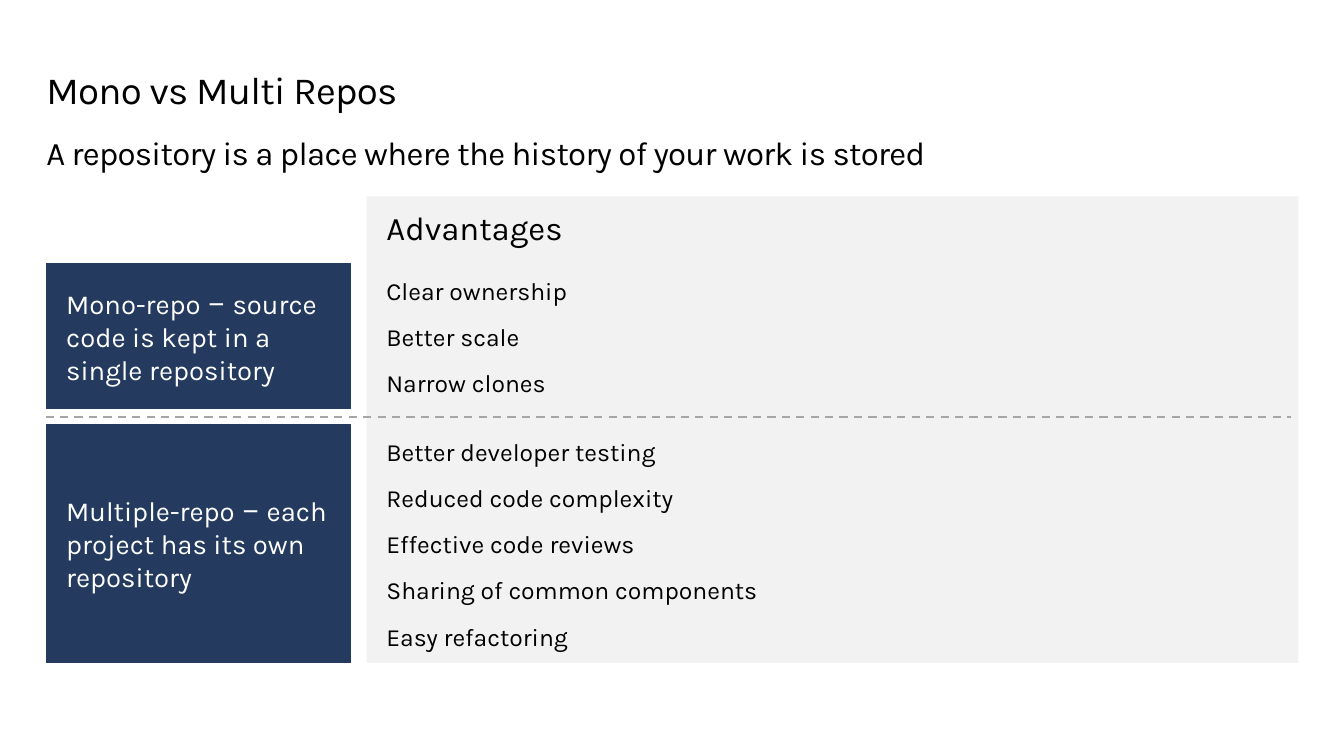
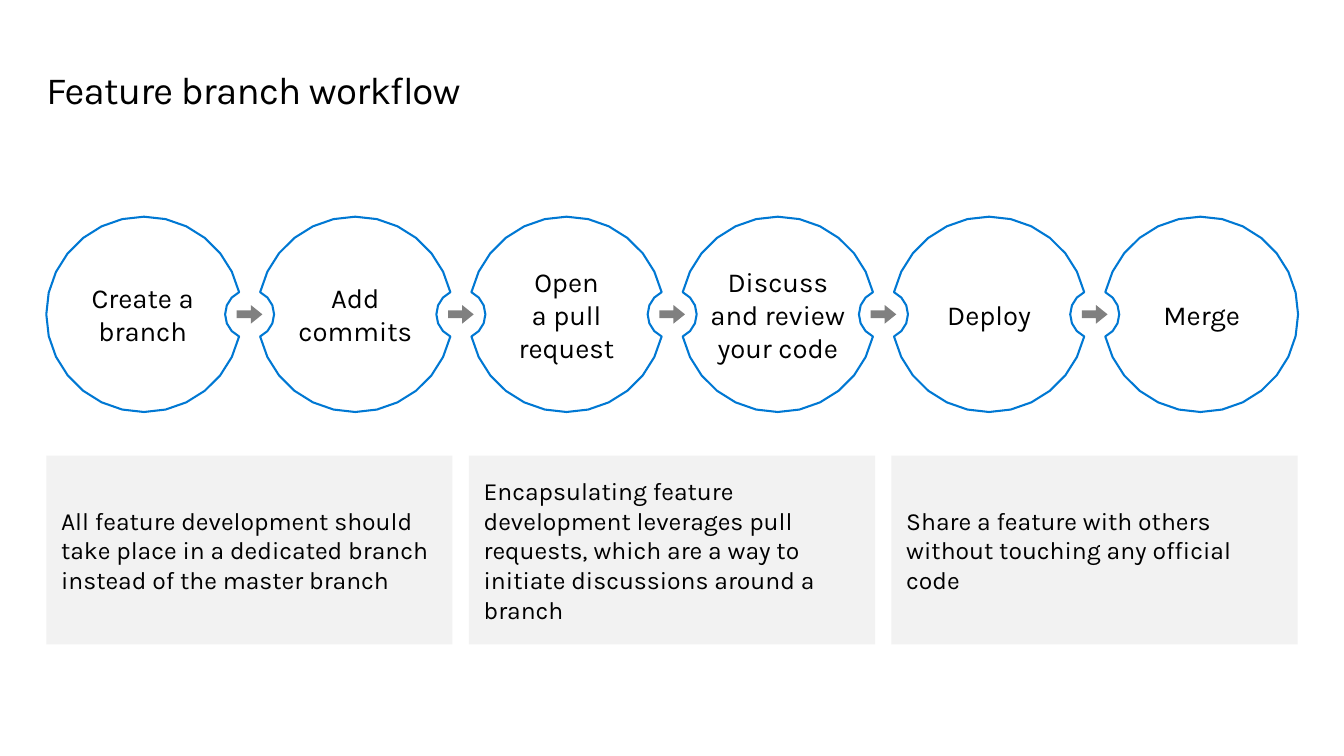
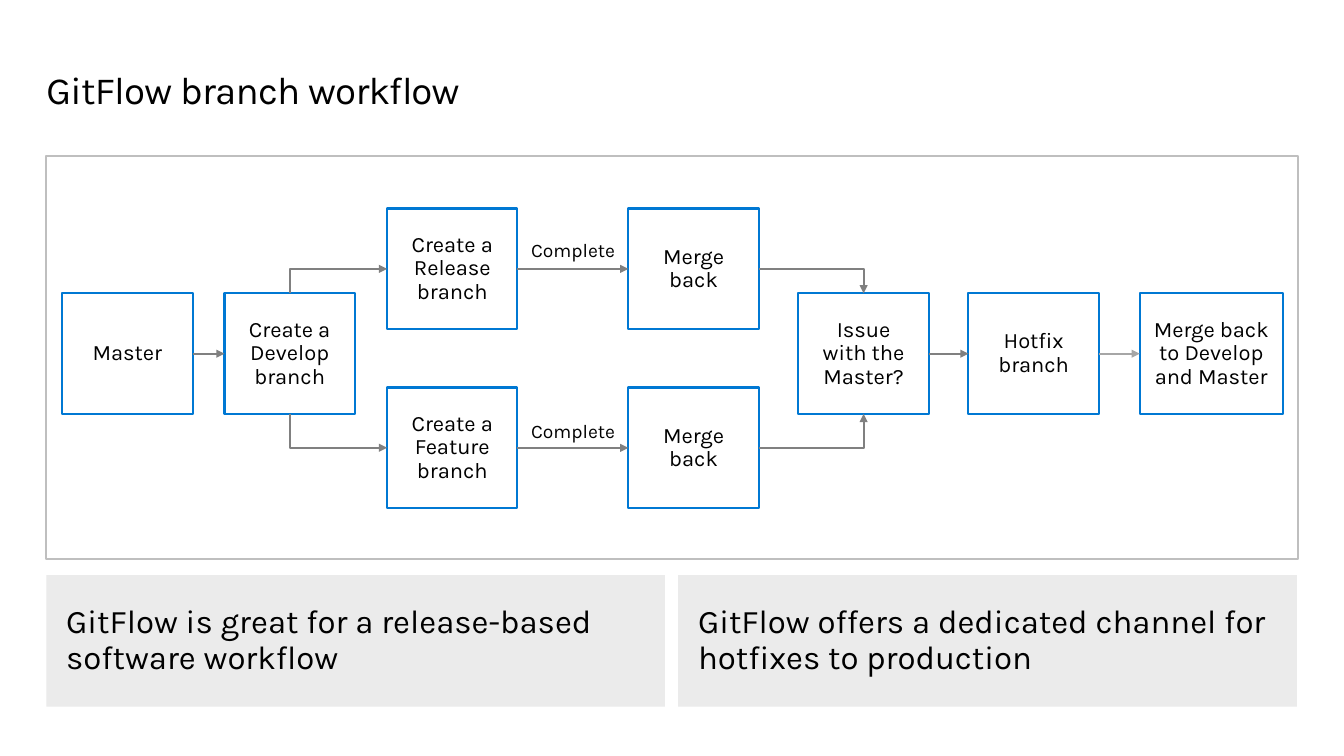
from dataclasses import dataclass
from enum import IntEnum
from math import acos, cos, radians, sin

from lxml.etree import SubElement
from pptx import Presentation
from pptx.dml.color import RGBColor
from pptx.enum.dml import MSO_LINE
from pptx.enum.shapes import MSO_CONNECTOR, MSO_SHAPE
from pptx.enum.text import MSO_ANCHOR, MSO_AUTO_SIZE, PP_ALIGN
from pptx.oxml.ns import qn
from pptx.shapes.autoshape import Shape
from pptx.shapes.connector import Connector
from pptx.slide import Slide
from pptx.text.text import TextFrame
from pptx.util import Cm, Pt

FONT, DASH_FONT = "Karla", "Roboto"
BLACK, WHITE = "000000", "FFFFFF"
NAVY, BLUE = "243A5E", "0078D3"
PANEL, TAKEAWAY = "F2F2F2", "EBEBEB"
FRAME, ARROW, PALE_ARROW = "BFBFBF", "808080", "A6A6A6"

LEFT = 1.19
CONTENT_WIDTH = 32.18
TITLE_ONLY = 5


@dataclass(frozen=True)
class Box:
    """Left, top, width and height in centimetres."""
    left: float
    top: float
    width: float
    height: float

    def lengths(self) -> tuple[Cm, Cm, Cm, Cm]:
        return Cm(self.left), Cm(self.top), Cm(self.width), Cm(self.height)


@dataclass(frozen=True)
class TextStyle:
    """Point sizes for text, centimetres for margins."""
    size: int
    colour: str = BLACK
    align: PP_ALIGN = PP_ALIGN.LEFT
    anchor: MSO_ANCHOR = MSO_ANCHOR.MIDDLE
    side_margin: float = 0
    end_margin: float = 0
    line_spacing: float | Pt = 1.0
    space_after: int = 0


TITLE = TextStyle(28, anchor=MSO_ANCHOR.TOP, line_spacing=Pt(32))
SUBTITLE = TextStyle(24)
REPO_LABEL = TextStyle(20, WHITE, side_margin=0.51, end_margin=0.41)
PANEL_HEADING = TextStyle(24, anchor=MSO_ANCHOR.TOP, side_margin=0.51,
                          end_margin=0.41, line_spacing=0.9)
ADVANTAGE = TextStyle(18, side_margin=0.51, end_margin=0.25, space_after=12)
STEP = TextStyle(20, align=PP_ALIGN.CENTER, side_margin=0.2)
STEP_NOTE = TextStyle(18, side_margin=0.38, end_margin=0.25)
FLOW_NODE = TextStyle(16, align=PP_ALIGN.CENTER, side_margin=0.27,
                      end_margin=0.27, line_spacing=0.9)
LINK_LABEL = TextStyle(14, align=PP_ALIGN.CENTER)
TAKEAWAY_TEXT = TextStyle(24, side_margin=0.51, end_margin=0.41,
                          line_spacing=0.9)


def rgb(colour: str) -> RGBColor:
    return RGBColor.from_string(colour)


def format_text(frame: TextFrame, style: TextStyle) -> None:
    frame.word_wrap = True
    frame.auto_size = MSO_AUTO_SIZE.NONE
    frame.vertical_anchor = style.anchor
    frame.margin_left = frame.margin_right = Cm(style.side_margin)
    frame.margin_top = frame.margin_bottom = Cm(style.end_margin)
    for paragraph in frame.paragraphs:
        paragraph.alignment = style.align
        paragraph.line_spacing = style.line_spacing
        paragraph.space_before = Pt(0)
        paragraph.space_after = Pt(style.space_after)
        for run in paragraph.runs:
            run.font.name = FONT
            run.font.size = Pt(style.size)
            run.font.color.rgb = rgb(style.colour)


def tighten(frame: TextFrame) -> None:
    """Set the letters half a point closer."""
    for run in frame.paragraphs[0].runs:
        run.font._element.set("spc", "-50")


def paint(shape: Shape, fill: str | None = None, line: str | None = None,
          line_width: float = 1.5) -> None:
    shape.shadow.inherit = False
    if fill:
        shape.fill.solid()
        shape.fill.fore_color.rgb = rgb(fill)
    else:
        shape.fill.background()
    if line:
        shape.line.color.rgb = rgb(line)
        shape.line.width = Pt(line_width)
    else:
        shape.line.fill.background()


def add_block(slide: Slide, box: Box, text: str = "",
              style: TextStyle = FLOW_NODE, fill: str | None = None,
              line: str | None = None) -> Shape:
    block = slide.shapes.add_shape(MSO_SHAPE.RECTANGLE, *box.lengths())
    paint(block, fill, line)
    if text:
        block.text_frame.text = text
        format_text(block.text_frame, style)
    return block


def add_text(slide: Slide, box: Box, text: str, style: TextStyle) -> TextFrame:
    frame = slide.shapes.add_textbox(*box.lengths()).text_frame
    frame.text = text
    format_text(frame, style)
    return frame


def add_titled_slide(deck: Presentation, heading: str) -> Slide:
    slide = deck.slides.add_slide(deck.slide_layouts[TITLE_ONLY])
    title = slide.shapes.title
    title.left, title.top, title.width, title.height = Box(
        LEFT, 1.75, CONTENT_WIDTH, 1.14).lengths()
    title.text_frame.text = heading
    format_text(title.text_frame, TITLE)
    tighten(title.text_frame)
    return slide


def style_connector(connector: Connector, colour: str) -> None:
    connector.line.color.rgb = rgb(colour)
    connector.line.width = Pt(1.5)
    SubElement(connector._element.spPr, qn("a:effectLst"))


# Mono vs Multi Repos

@dataclass(frozen=True)
class Repo:
    term: str
    meaning: str
    advantages: tuple[str, ...]
    top: float
    height: float


REPOS = (
    Repo("Mono-repo", "source code is kept in a single repository",
         ("Clear ownership", "Better scale", "Narrow clones"), 6.78, 3.73),
    Repo("Multiple-repo", "each project has its own repository",
         ("Better developer testing", "Reduced code complexity",
          "Effective code reviews", "Sharing of common components",
          "Easy refactoring"), 10.92, 6.12),
)


def add_repo_label(slide: Slide, repo: Repo) -> None:
    label = add_block(slide, Box(LEFT, repo.top, 7.82, repo.height),
                      fill=NAVY, line=NAVY)
    label.line.width = Pt(0.75)
    paragraph = label.text_frame.paragraphs[0]
    for part in (repo.term, " – ", repo.meaning):
        paragraph.add_run().text = part
    format_text(label.text_frame, REPO_LABEL)
    paragraph.runs[1].font.name = DASH_FONT


def build_repos(deck: Presentation) -> None:
    slide = add_titled_slide(deck, "Mono vs Multi Repos")
    definition = add_text(
        slide, Box(LEFT, 3.4, 25, 1.02),
        "A repository is a place where the history of your work is stored",
        SUBTITLE)
    tighten(definition)

    panel_left, panel_width = 9.42, 23.95
    add_block(slide, Box(panel_left, 5.05, panel_width, 11.99),
              "Advantages", PANEL_HEADING, PANEL)
    for repo in REPOS:
        add_repo_label(slide, repo)
        add_text(slide, Box(panel_left, repo.top, panel_width, repo.height),
                 "\n".join(repo.advantages), ADVANTAGE)

    divider = slide.shapes.add_connector(
        MSO_CONNECTOR.STRAIGHT, Cm(1.17), Cm(10.72), Cm(33.17), Cm(10.72))
    style_connector(divider, PALE_ARROW)
    divider.line.dash_style = MSO_LINE.DASH


# Feature branch workflow

STEPS = ("Create a branch", "Add\vcommits", "Open\va pull\vrequest",
         "Discuss\vand review your code", "Deploy", "Merge")
STEP_NOTES = (
    "All feature development should take place in a dedicated branch "
    "instead of the master branch",
    "Encapsulating feature development leverages pull requests, which are "
    "a way to initiate discussions around a branch",
    "Share a feature with others without touching any official code",
)
STEP_RADIUS, NOTCH_RADIUS = 2.51, 0.63
STEP_PITCH = 5.43
STEP_MIDDLE = 8.08


def arc(radius: float, start: float, end: float,
        segments: int = 6) -> list[tuple[float, float]]:
    """Points around the origin; angles run clockwise from the right."""
    angles = [start + (end - start) * i / segments
              for i in range(segments + 1)]
    return [(radius * cos(a), radius * sin(a)) for a in angles]


def half_outline(notched: bool) -> list[tuple[float, float]]:
    """Right half of a step circle from top to bottom."""
    quarter = radians(90)
    if not notched:
        return arc(STEP_RADIUS, -quarter, quarter, segments=14)
    reach = STEP_PITCH / 2
    squares = STEP_RADIUS ** 2 - NOTCH_RADIUS ** 2
    gap = acos((reach ** 2 + squares) / (2 * reach * STEP_RADIUS))
    bite = acos((reach ** 2 - squares) / (2 * reach * NOTCH_RADIUS))
    notch = [(reach - x, y) for x, y in arc(NOTCH_RADIUS, -bite, bite)]
    # The notch already holds the points where both circles meet.
    return (arc(STEP_RADIUS, -quarter, -gap)[:-1] + notch
            + arc(STEP_RADIUS, gap, quarter)[1:])


def add_step(slide: Slide, center: float, text: str, notched_left: bool,
             notched_right: bool) -> None:
    left_half = [(-x, y) for x, y in reversed(half_outline(notched_left))]
    outline = [(Cm(center + x), Cm(STEP_MIDDLE + y))
               for x, y in half_outline(notched_right) + left_half[1:-1]]
    builder = slide.shapes.build_freeform(*outline[0])
    builder.add_line_segments(outline[1:], close=True)
    step = builder.convert_to_shape()
    paint(step, line=BLUE)
    step.text_frame.text = text
    format_text(step.text_frame, STEP)


def add_step_arrow(slide: Slide, center: float) -> None:
    width, height = 0.66, 0.48
    arrow = slide.shapes.add_shape(MSO_SHAPE.RIGHT_ARROW, *Box(
        center - width / 2, STEP_MIDDLE - height / 2, width, height).lengths())
    arrow.adjustments[0] = 0.42
    arrow.adjustments[1] = 0.62
    paint(arrow, ARROW)


def build_feature_branch(deck: Presentation) -> None:
    slide = add_titled_slide(deck, "Feature branch workflow")
    last = len(STEPS) - 1
    for i, text in enumerate(STEPS):
        center = LEFT + STEP_RADIUS + i * STEP_PITCH
        add_step(slide, center, text, i > 0, i < last)
        if i < last:
            add_step_arrow(slide, center + STEP_PITCH / 2)
    for i, note in enumerate(STEP_NOTES):
        add_block(slide, Box(LEFT + i * 2 * STEP_PITCH, 11.71, 10.44, 4.85),
                  note, STEP_NOTE, PANEL)


# GitFlow branch workflow

class Side(IntEnum):
    """Connection sites of a rectangle."""
    TOP = 0
    LEFT = 1
    BOTTOM = 2
    RIGHT = 3


@dataclass(frozen=True)
class Node:
    text: str
    left: float
    top: float
    width: float = 3.35


@dataclass(frozen=True)
class Link:
    """An elbow leaves its start sideways and meets its end vertically."""
    start: str
    end: str
    start_side: Side = Side.RIGHT
    end_side: Side = Side.LEFT
    arrow_at: str = "a:tailEnd"
    colour: str = ARROW


UPPER, CENTRAL, LOWER = 5.36, 7.54, 9.96
NODE_HEIGHT = 3.1
NODES = {
    "master": Node("Master", 1.6, CENTRAL),
    "develop": Node("Create a Develop branch", 5.77, CENTRAL),
    "release": Node("Create a Release branch", 9.95, UPPER),
    "release merge": Node("Merge back", 16.15, UPPER),
    "feature": Node("Create a Feature branch", 9.95, LOWER),
    "feature merge": Node("Merge back", 16.15, LOWER),
    "issue": Node("Issue\vwith the Master?", 20.52, CENTRAL),
    "hotfix": Node("Hotfix branch", 24.89, CENTRAL),
    "final merge": Node("Merge back to Develop and Master", 29.29, CENTRAL,
                        3.68),
}
LINKS = (
    Link("master", "develop"),
    Link("release", "develop", Side.LEFT, Side.TOP, "a:headEnd"),
    Link("feature", "develop", Side.LEFT, Side.BOTTOM, "a:headEnd"),
    Link("release", "release merge"),
    Link("feature", "feature merge"),
    Link("release merge", "issue", end_side=Side.TOP),
    Link("feature merge", "issue", end_side=Side.BOTTOM),
    Link("issue", "hotfix"),
    Link("hotfix", "final merge", colour=PALE_ARROW),
)
TAKEAWAYS = ("GitFlow is great for a release-based software workflow",
             "GitFlow offers a dedicated channel for hotfixes to production")


def add_link(slide: Slide, link: Link, blocks: dict[str, Shape]) -> None:
    is_elbow = link.end_side in (Side.TOP, Side.BOTTOM)
    kind = MSO_CONNECTOR.ELBOW if is_elbow else MSO_CONNECTOR.STRAIGHT
    connector = slide.shapes.add_connector(kind, 0, 0, 0, 0)
    connector.begin_connect(blocks[link.start], link.start_side.value)
    connector.end_connect(blocks[link.end], link.end_side.value)
    style_connector(connector, link.colour)
    properties = connector._element.spPr
    if is_elbow:
        properties.find(qn("a:prstGeom")).set("prst", "bentConnector2")
    SubElement(properties.find(qn("a:ln")), qn(link.arrow_at), type="triangle")


def build_gitflow(deck: Presentation) -> None:
    slide = add_titled_slide(deck, "GitFlow branch workflow")
    add_block(slide, Box(LEFT, 4.01, CONTENT_WIDTH, 10.36), line=FRAME)
    blocks = {
        key: add_block(slide,
                       Box(node.left, node.top, node.width, NODE_HEIGHT),
                       node.text, line=BLUE)
        for key, node in NODES.items()
    }
    for link in LINKS:
        add_link(slide, link, blocks)
    for top in (6.12, 10.77):
        add_text(slide, Box(13.46, top, 2.54, 0.61), "Complete", LINK_LABEL)
    for i, takeaway in enumerate(TAKEAWAYS):
        add_block(slide, Box(LEFT + i * 16.24, 14.78, 15.9, 3.38),
                  takeaway, TAKEAWAY_TEXT, TAKEAWAY)


def main() -> None:
    deck = Presentation()
    deck.slide_width, deck.slide_height = Cm(34.54), Cm(19.43)
    build_repos(deck)
    build_feature_branch(deck)
    build_gitflow(deck)
    deck.save("out.pptx")


if __name__ == "__main__":
    main()
